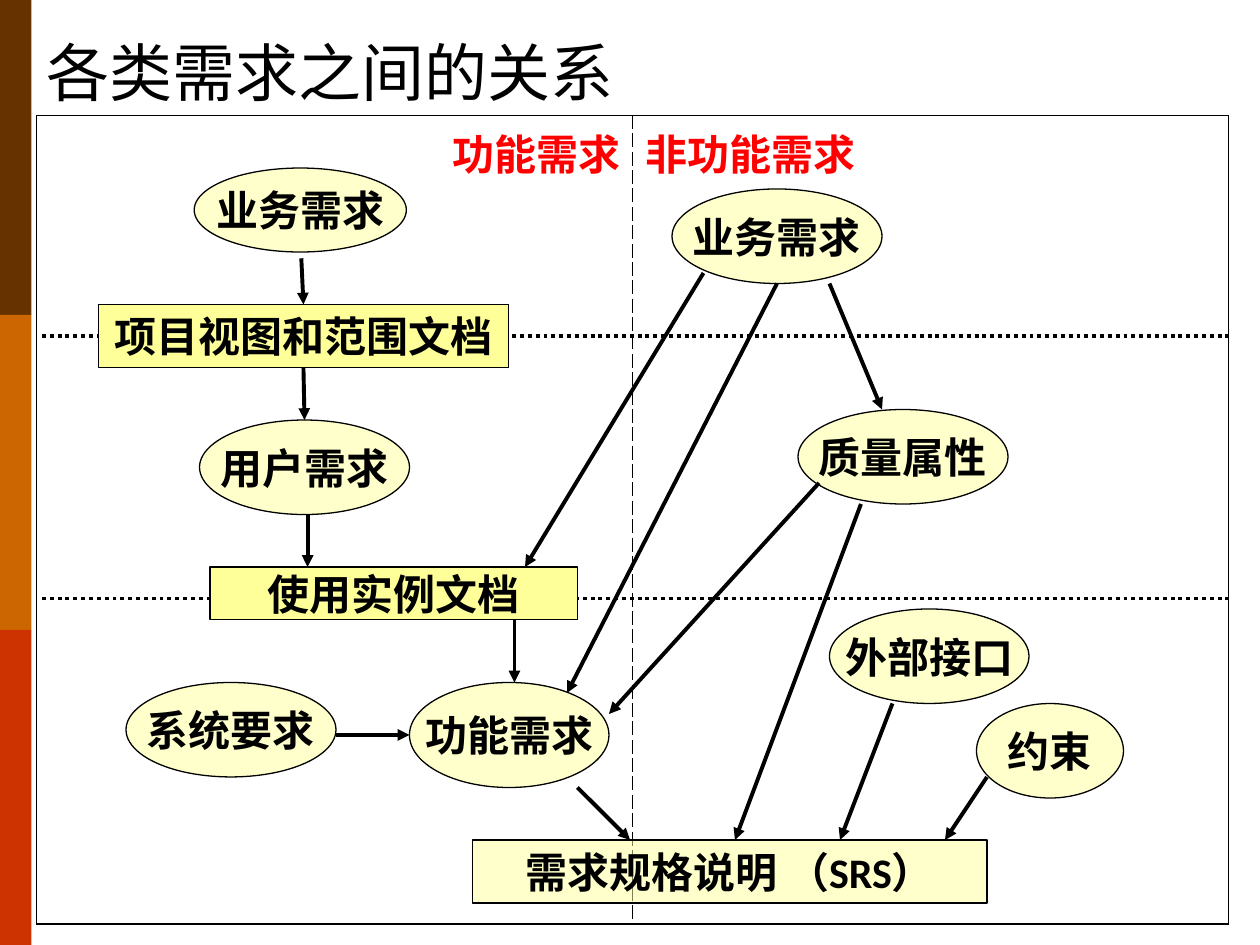
"""Build a slide showing how the kinds of software requirements relate."""
import dataclasses
import typing

import lxml.etree
import pptx
import pptx.dml.color
import pptx.enum.dml
import pptx.enum.shapes
import pptx.enum.text
import pptx.oxml.ns
import pptx.util

SHAPE = pptx.enum.shapes.MSO_SHAPE
ALIGN = pptx.enum.text.PP_ALIGN
ANCHOR = pptx.enum.text.MSO_ANCHOR
DOTTED = pptx.enum.dml.MSO_LINE.ROUND_DOT
COLUMNS, ROWS = 120, 90


@dataclasses.dataclass(frozen=True)
class Theme:
    """Colours, font and sizes."""
    font: str = "Calibri"
    ink: str = "000000"
    paper: str = "FFFFFF"
    heading: str = "FF0000"
    node: str = "FFFF99"
    bands: tuple[str, ...] = ("663300", "CC6600", "CC3300")
    title_size: float = 36
    text_size: float = 24
    thin: float = 0.75
    thick: float = 2.25


@dataclasses.dataclass(frozen=True)
class Node:
    """A labelled shape placed in grid columns and rows."""
    key: str
    text: str
    left: float
    top: float
    width: float
    height: float
    kind: typing.Any = SHAPE.OVAL
    alpha: int = 50


@dataclasses.dataclass(frozen=True)
class Arrow:
    """An arrow between grid points, optionally joined to (node, site)."""
    start: tuple[float, float]
    end: tuple[float, float]
    begin_join: tuple[str, int] | None = None
    end_join: tuple[str, int] | None = None


THEME = Theme()
NODES = (
    Node("business", "业务需求", 18.5, 16, 20.2, 8),
    Node("user", "用户需求", 19, 40, 20, 9),
    Node("quality", "质量属性", 76, 39, 20, 9),
    Node("interface", "外部接口", 79, 58, 19, 9),
    Node("system", "系统要求", 12, 65, 20, 9),
    Node("constraint", "约束", 93, 67, 14, 9),
    Node("function", "功能需求", 39, 65, 19, 10),
    Node("vision", "项目视图和范围文档", 9.4, 29, 39, 6, SHAPE.RECTANGLE, 100),
    Node("use_case", "使用实例文档", 20, 54, 35, 5, SHAPE.RECTANGLE, 100),
    Node("srs", "需求规格说明 （SRS）", 45, 80, 49, 6, SHAPE.RECTANGLE),
    Node("business_quality", "业务需求", 64, 18, 20, 9),
)
ARROWS = (
    Arrow((28.7, 24.6), (28.9, 29), end_join=("vision", 0)),
    Arrow((28.9, 35), (29, 40), ("vision", 2), ("user", 0)),
    Arrow((29.3, 49), (29.3, 54)),
    Arrow((49, 59), (49, 65)),
    Arrow((32, 70), (39, 70)),
    Arrow((67, 26), (50, 54)),
    Arrow((78, 46), (58, 68)),
    Arrow((55, 75), (60, 80)),
    Arrow((82, 48), (70, 80)),
    Arrow((85, 67), (80, 80)),
    Arrow((74, 27), (54, 66)),
    Arrow((94, 74), (90, 80)),
    Arrow((79, 27), (84, 39)),
)


def grid(deck, *values: float) -> list[int]:
    """Turn alternating column and row values into lengths."""
    units = (deck.slide_width / COLUMNS, deck.slide_height / ROWS)
    return [round(value * units[index % 2]) for index, value in enumerate(values)]


def rgb(color: str):
    """Give the colour object for a hex string."""
    return pptx.dml.color.RGBColor.from_string(color)


def add_xml(parent, tag: str, **attributes: str):
    """Append a drawing element."""
    return lxml.etree.SubElement(parent, pptx.oxml.ns.qn(tag), attributes)


def paint(fill, color: str) -> None:
    """Give a fill one solid colour."""
    fill.solid()
    fill.fore_color.rgb = rgb(color)


def write(frame, text: str, color: str = THEME.ink, size: float = THEME.text_size,
          bold: bool = True, align=ALIGN.CENTER) -> None:
    """Put one formatted span of text into a frame."""
    para = frame.paragraphs[0]
    para.alignment = align
    span = para.add_run()
    span.text = text
    formats = {"name": THEME.font, "size": pptx.util.Pt(size), "bold": bold}
    for name, value in formats.items():
        setattr(span.font, name, value)
    span.font.color.rgb = rgb(color)


def add_title(deck, page) -> None:
    """Place and fill the title placeholder."""
    title = page.shapes.title
    places = zip(("left", "top", "width", "height"), grid(deck, 3.2, 3.7, 105, 7.3))
    for name, value in places:
        setattr(title, name, value)
    formats = {"vertical_anchor": ANCHOR.BOTTOM, "word_wrap": True,
               "auto_size": pptx.enum.text.MSO_AUTO_SIZE.NONE}
    for name, value in formats.items():
        setattr(title.text_frame, name, value)
    write(title.text_frame, "各类需求之间的关系", size=THEME.title_size,
          bold=False, align=ALIGN.LEFT)


def add_bands(deck, page) -> None:
    """Stack the coloured bands down the left edge."""
    height = ROWS / len(THEME.bands)
    for index, color in enumerate(THEME.bands):
        band = page.shapes.add_shape(SHAPE.RECTANGLE, *grid(deck, 0, index * height, 3, height))
        band.shadow.inherit = False
        paint(band.fill, color)
        band.line.fill.background()


def add_border(properties, index: int, side: str, dash: str) -> None:
    """Draw one border of a table cell."""
    line = add_xml(properties, f"a:ln{side}", w=str(pptx.util.Pt(THEME.thin)))
    add_xml(add_xml(line, "a:solidFill"), "a:srgbClr", val=THEME.ink)
    add_xml(line, "a:prstDash", val=dash)
    properties.insert(index, line)


def add_frame(deck, page) -> None:
    """Draw the two-column table behind the diagram."""
    table = page.shapes.add_table(1, 2, *grid(deck, 3.5, 11, 113.5, 77)).table
    table.first_row = table.horz_banding = False
    headings = (("功能需求", ALIGN.RIGHT, "R"), ("非功能需求", ALIGN.LEFT, "L"))
    for cell, (text, align, inner) in zip(table.iter_cells(), headings):
        paint(cell.fill, THEME.paper)
        write(cell.text_frame, text, THEME.heading, align=align)
        for index, side in enumerate("LRTB"):
            add_border(cell._tc.get_or_add_tcPr(), index, side,
                       "dash" if side == inner else "solid")


def add_node(deck, page, node: Node):
    """Draw a labelled shape."""
    box = page.shapes.add_shape(node.kind, *grid(deck, node.left, node.top, node.width, node.height))
    box.shadow.inherit = False
    paint(box.fill, THEME.node)
    if node.alpha < 100:
        color = box._element.spPr.find(".//" + pptx.oxml.ns.qn("a:srgbClr"))
        add_xml(color, "a:alpha", val=str(node.alpha * 1000))
    box.line.width = pptx.util.Pt(THEME.thin)
    box.line.color.rgb = rgb(THEME.ink)
    box.text_frame.word_wrap = False
    box.text_frame.vertical_anchor = ANCHOR.MIDDLE
    write(box.text_frame, node.text)
    return box


def add_line(deck, page, start: tuple[float, float], end: tuple[float, float]):
    """Draw a thick straight connector."""
    line = page.shapes.add_connector(pptx.enum.shapes.MSO_CONNECTOR.STRAIGHT,
                                     *grid(deck, *start, *end))
    line.line.width = pptx.util.Pt(THEME.thick)
    line.line.color.rgb = rgb(THEME.ink)
    add_xml(line._element.spPr, "a:effectLst")
    return line


def add_arrow(deck, page, arrow: Arrow, boxes: dict) -> None:
    """Draw an arrow and join it to its nodes."""
    line = add_line(deck, page, arrow.start, arrow.end)
    add_xml(line.line._get_or_add_ln(), "a:tailEnd", type="triangle")
    for join, connect in ((arrow.begin_join, line.begin_connect), (arrow.end_join, line.end_connect)):
        if join:
            connect(boxes[join[0]], join[1])


def main() -> None:
    """Build and save the deck."""
    deck = pptx.Presentation()
    deck.slide_width, deck.slide_height = pptx.util.Inches(10), pptx.util.Inches(7.5)
    page = deck.slides.add_slide(deck.slide_layouts[5])
    add_title(deck, page)
    add_bands(deck, page)
    add_frame(deck, page)
    for row in (32, 57):
        add_line(deck, page, (4, row), (117, row)).line.dash_style = DOTTED
    boxes = {node.key: add_node(deck, page, node) for node in NODES}
    for arrow in ARROWS:
        add_arrow(deck, page, arrow, boxes)
    deck.save("out.pptx")


if __name__ == "__main__":
    main()
